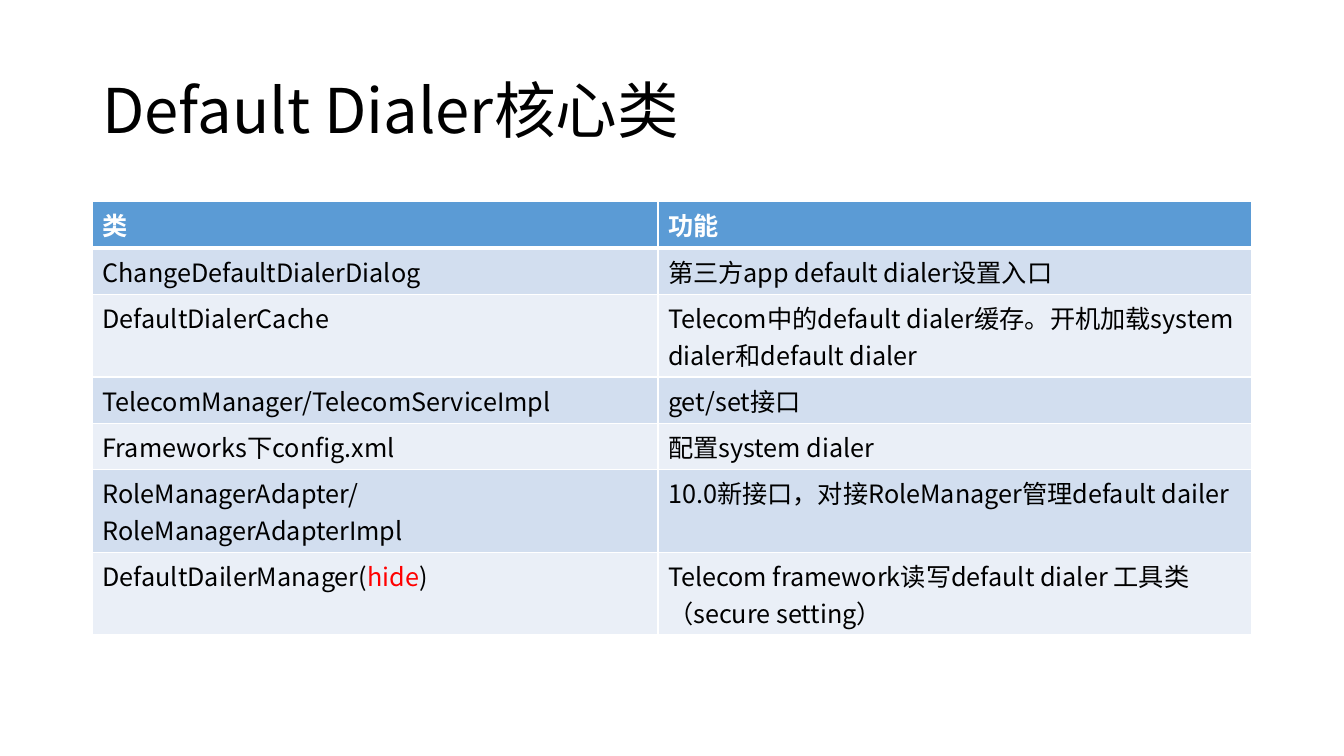
from dataclasses import dataclass

from lxml import etree
from pptx import Presentation
from pptx.dml.color import RGBColor
from pptx.enum import text
from pptx.oxml import ns
from pptx.util import Inches, Pt

WIDE, HIGH = Inches(13.33), Inches(7.5)
LEFT, SPAN = 11 / 160, 138 / 160  # shares of the slide width
FONT = "Noto Sans CJK SC"
HUES = {"ink": "000000", "paper": "FFFFFF", "head": "5B9BD5",
        "odd": "D2DEEF", "even": "EAEFF7", "mark": "FF0000"}
STEPS = {1: Inches(0.46), 2: Inches(0.82)}  # row height by text lines


@dataclass
class Run:
    words: str
    hue: str = "ink"
    size: int = 18
    bold: bool = False


@dataclass
class Row:
    name: list[Run]
    role: list[Run]
    lines: int = 1


def plain(name: str, role: str, lines: int = 1) -> Row:
    return Row([Run(name)], [Run(role)], lines)


ROWS = [
    Row([Run("类", "paper", bold=True)], [Run("功能", "paper", bold=True)]),
    plain("ChangeDefaultDialerDialog", "第三方app default dialer设置入口"),
    plain("DefaultDialerCache",
          "Telecom中的default dialer缓存。开机加载system dialer和default dialer", 2),
    plain("TelecomManager/TelecomServiceImpl", "get/set接口"),
    plain("Frameworks下config.xml", "配置system dialer"),
    plain("RoleManagerAdapter/RoleManagerAdapterImpl",
          "10.0新接口，对接RoleManager管理default dailer", 2),
    Row([Run("DefaultDailerManager("), Run("hide", "mark"), Run(")")],
        [Run("Telecom framework读写default dialer 工具类（secure setting）")], 2),
]


def write(para, runs: list[Run]) -> None:
    for item in runs:
        run = para.add_run()
        run.text = item.words
        look = {"name": FONT, "size": Pt(item.size), "bold": item.bold}
        for key, value in look.items():
            setattr(run.font, key, value)
        run.font.color.rgb = RGBColor.from_string(HUES[item.hue])
        # East Asian glyphs use the same face
        etree.SubElement(run.font._element, ns.qn("a:ea"), typeface=FONT)


def edge(cell, sides: dict[str, int]) -> None:
    props = cell._tc.get_or_add_tcPr()
    for spot, (side, width) in enumerate(sides.items()):
        line = etree.Element(ns.qn(f"a:ln{side}"), w=str(Pt(width)))
        fill = etree.SubElement(line, ns.qn("a:solidFill"))
        etree.SubElement(fill, ns.qn("a:srgbClr"), val=HUES["paper"])
        props.insert(spot, line)


deck = Presentation()
deck.slide_width, deck.slide_height = WIDE, HIGH
slide = deck.slides.add_slide(deck.slide_layouts[6])
left, span = int(WIDE * LEFT), int(WIDE * SPAN)

# Title
frame = slide.shapes.add_textbox(
    left, Inches(0.4), span, Inches(1.45)).text_frame
form = {"word_wrap": True, "vertical_anchor": text.MSO_ANCHOR.MIDDLE}
for key, value in form.items():
    setattr(frame, key, value)
frame.paragraphs[0].line_spacing = 0.9
write(frame.paragraphs[0], [Run("Default Dialer核心类", size=44)])

# Table of classes and their roles
tall = sum(STEPS[row.lines] for row in ROWS)
grid = slide.shapes.add_table(
    len(ROWS), 2, left, Inches(2), span, tall).table
grid.horz_banding = False
grid.columns[0].width = Inches(5.61)
grid.columns[1].width = span - Inches(5.61)
for i, row in enumerate(ROWS):
    grid.rows[i].height = STEPS[row.lines]
    tone = "head" if i == 0 else ("odd" if i % 2 else "even")
    for j, runs in enumerate((row.name, row.role)):
        cell = grid.cell(i, j)
        cell.fill.solid()
        cell.fill.fore_color.rgb = RGBColor.from_string(HUES[tone])
        edge(cell, {"L": 1, "R": 1, "T": 3 if i == 1 else 1,
                    "B": 3 if i == 0 else 1})
        write(cell.text_frame.paragraphs[0], runs)

deck.save("out.pptx")
